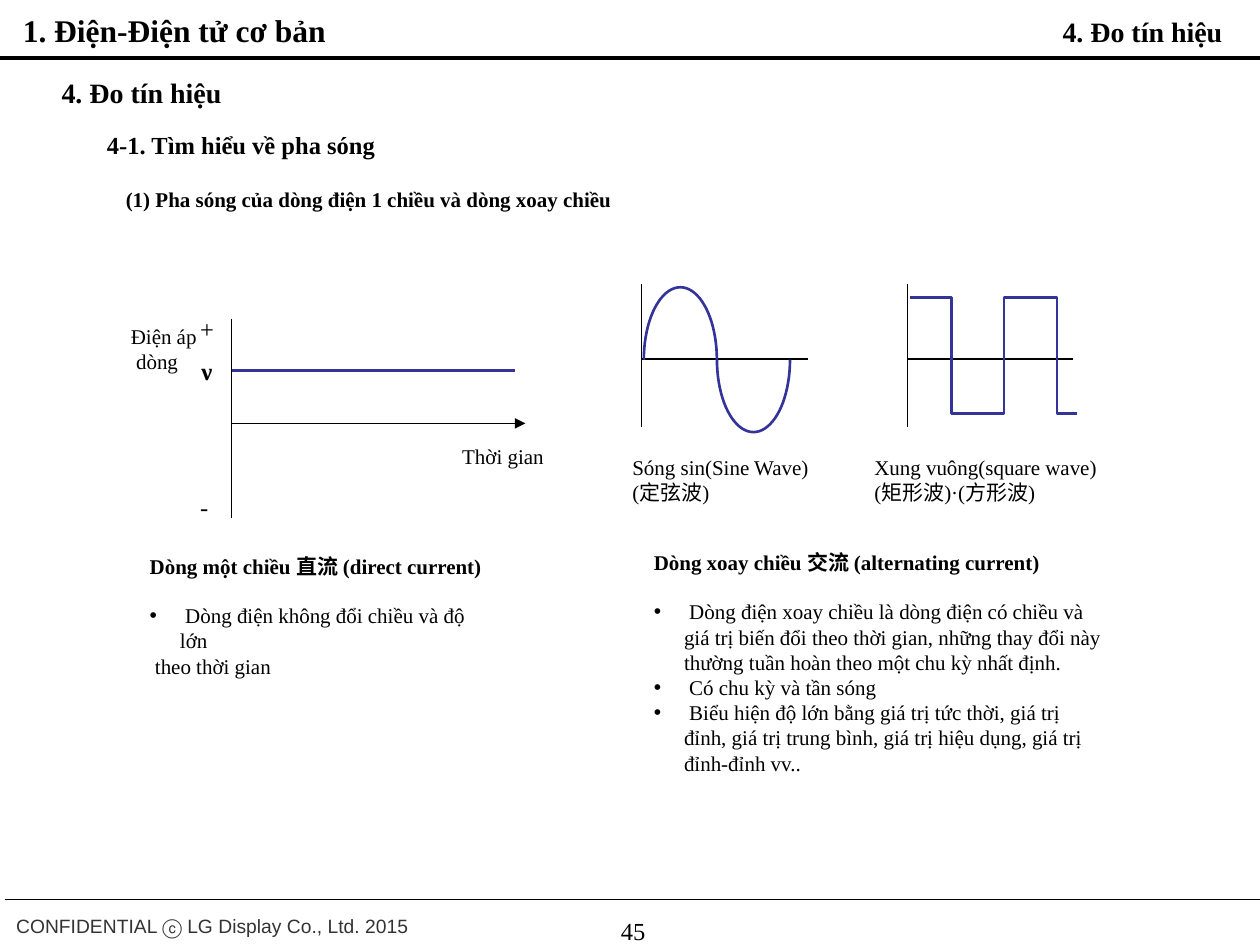
from math import cos, pi, sin

from pptx import Presentation
from pptx.dml.color import RGBColor
from pptx.enum.shapes import MSO_CONNECTOR
from pptx.enum.text import MSO_AUTO_SIZE as AutoSize, PP_ALIGN as Align
from pptx.oxml.ns import qn
from pptx.util import Inches, Pt

BLACK, GRAY, WAVE = "000000", "333333", "333399"
BULLET_INDENT = Inches(0.24)


def rgb(value):
    return RGBColor.from_string(value)


def add_text(slide, box, lines, size=12, bold=False, color=BLACK,
             font="Times New Roman", align=Align.LEFT, wrap=False, spacing=None):
    shape = slide.shapes.add_textbox(*map(Inches, box))
    frame = shape.text_frame
    frame.text = lines
    frame.word_wrap = wrap
    frame.auto_size = AutoSize.NONE if wrap else AutoSize.SHAPE_TO_FIT_TEXT
    for paragraph in frame.paragraphs:
        paragraph.alignment = align
        if spacing:
            paragraph.line_spacing = spacing
        for run in paragraph.runs:
            run.font.size = Pt(size)
            run.font.name = font
            run.font.bold = bold
            run.font.color.rgb = rgb(color)
    return frame


def add_line(slide, x1, y1, x2, y2, width=0.75, color=BLACK, arrow=False):
    line = slide.shapes.add_connector(
        MSO_CONNECTOR.STRAIGHT, *map(Inches, (x1, y1, x2, y2)))
    line.line.width = Pt(width)
    line.line.color.rgb = rgb(color)
    properties = line._element.spPr
    if arrow:
        tail = line.line._get_or_add_ln().makeelement(qn("a:tailEnd"), {"type": "triangle"})
        line.line._get_or_add_ln().append(tail)
    properties.append(properties.makeelement(qn("a:effectLst"), {}))


def add_wave(slide, points):
    points = [(Inches(x), Inches(y)) for x, y in points]
    builder = slide.shapes.build_freeform(*points[0])
    builder.add_line_segments(points[1:], close=False)
    shape = builder.convert_to_shape()
    shape.shadow.inherit = False
    shape.fill.background()
    shape.line.color.rgb = rgb(WAVE)
    shape.line.width = Pt(1.5)


def add_bullet(paragraph):
    properties = paragraph._p.get_or_add_pPr()
    properties.set("marL", str(BULLET_INDENT))
    properties.set("indent", str(-BULLET_INDENT))
    font = properties.makeelement(qn("a:buFont"), {"typeface": "Arial"})
    character = properties.makeelement(qn("a:buChar"), {"char": "•"})
    properties.extend([font, character])


def add_description(slide, box, heading, bullets, closing=()):
    """Bold heading, then bulleted lines, then plain closing lines."""
    frame = add_text(slide, box, "\n".join([heading, *bullets, *closing]), wrap=True)
    first, *rest = frame.paragraphs
    first.runs[0].font.bold = True
    for paragraph in rest[:len(bullets)]:
        add_bullet(paragraph)
    first.space_after = Pt(14)


def add_header(slide, left, top, width):
    add_line(slide, left, top + 0.46, left + width, top + 0.46, 2.25)
    add_text(slide, (left + 0.02, top + 0.04, 2.69, 0.4),
             " 1. Điện-Điện tử cơ bản", 18, True)
    add_text(slide, (left + width - 1.74, top + 0.07, 1.54, 0.37),
             "4. Đo tín hiệu", 16, True, align=Align.RIGHT)


def add_headings(slide, left, top):
    add_text(slide, (left, top, 1.49, 0.37), "4. Đo tín hiệu", 16, True)
    add_text(slide, (left + 0.36, top + 0.43, 2.35, 0.34),
             "4-1. Tìm hiểu về pha sóng", 14, True)
    add_text(slide, (left + 0.51, top + 0.84, 8.19, 5.36),
             "(1) Pha sóng của dòng điện 1 chiều và dòng xoay chiều",
             12, True, wrap=True, spacing=1.2)


def add_direct_current(slide, left, top):
    """Constant voltage over time; (left, top) is the top of the voltage axis."""
    add_line(slide, left, top, left, top + 1.58)
    add_line(slide, left, top + 0.83, left + 2.33, top + 0.83, arrow=True)
    add_line(slide, left, top + 0.41, left + 2.25, top + 0.41, 1.5, WAVE)
    add_text(slide, (left - 0.34, top + 0.25, 0.3, 0.33), "ν", 14, True)
    add_text(slide, (left - 0.9, top - 0.01, 0.73, 0.51), "Điện áp\n dòng")
    add_text(slide, (left + 1.73, top + 0.94, 0.86, 0.3), "Thời gian")
    add_text(slide, (left - 0.35, top - 0.09, 0.32, 0.33), "+", 14)
    add_text(slide, (left - 0.35, top + 1.33, 0.27, 0.34), "-", 14)


def add_wave_axes(slide, left, top):
    add_line(slide, left, top, left, top + 1.14)
    add_line(slide, left, top + 0.6, left + 1.32, top + 0.6)


def add_sine_wave(slide, left, top):
    add_wave_axes(slide, left, top)
    radius_x, radius_y, steps = 0.29, 0.575, 40
    for half, direction in enumerate((-1, 1)):
        center = left + 0.02 + radius_x * (1 + 2 * half)
        angles = [pi * step / steps for step in range(steps + 1)]
        add_wave(slide, [(center - radius_x * cos(angle),
                          top + 0.605 + direction * radius_y * sin(angle))
                         for angle in angles])
    add_text(slide, (left - 0.17, top + 1.31, 1.62, 0.51),
             "Sóng sin(Sine Wave)\n(定弦波)")


def add_square_wave(slide, left, top):
    add_wave_axes(slide, left, top)
    high, low = top + 0.11, top + 1.03
    points = [(left + 0.02, high)]
    for index in range(3):
        x = left + 0.35 + 0.42 * index
        levels = (high, low) if index % 2 == 0 else (low, high)
        points += [(x, level) for level in levels]
    points.append((left + 1.35, low))
    add_wave(slide, points)
    add_text(slide, (left - 0.36, top + 1.31, 1.99, 0.51),
             "Xung vuông(square wave)\n(矩形波)·(方形波)")


def add_footer(slide, left, top):
    add_line(slide, left + 0.04, top, left + 10.04, top)
    add_text(slide, (left + 0.03, top + 0.03, 3.34, 0.3),
             "CONFIDENTIAL ⓒ LG Display Co., Ltd. 2015",
             11, color=GRAY, font="Arial", spacing=1.2)
    number = add_text(slide, (left + 3.86, top + 0.04, 2.33, 0.52), "45", 14,
                      align=Align.CENTER, wrap=True)
    number.margin_top = Inches(0.09)


def main():
    presentation = Presentation()
    presentation.slide_width = Inches(10)
    presentation.slide_height = Inches(7.5)
    slide = presentation.slides.add_slide(presentation.slide_layouts[6])

    add_footer(slide, 0, 7.14)
    add_header(slide, 0, 0, 10)
    add_headings(slide, 0.39, 0.55)

    # Direct current
    add_direct_current(slide, 1.84, 2.53)
    add_description(
        slide, (1.09, 4.34, 2.86, 0.91),
        "Dòng một chiều 直流 (direct current)",
        [" Dòng điện không đổi chiều và độ lớn"],
        [" theo thời gian"])

    # Alternating current
    add_sine_wave(slide, 5.09, 2.25)
    add_square_wave(slide, 7.2, 2.25)
    add_description(
        slide, (5.09, 4.31, 3.75, 1.92),
        "Dòng xoay chiều 交流 (alternating current)",
        [" Dòng điện xoay chiều là dòng điện có chiều và giá trị biến đổi theo thời gian, "
         "những thay đổi này thường tuần hoàn theo một chu kỳ nhất định.",
         " Có chu kỳ và tần sóng",
         " Biểu hiện độ lớn bằng giá trị tức thời, giá trị đỉnh, giá trị trung bình, "
         "giá trị hiệu dụng, giá trị đỉnh-đỉnh vv.."])

    presentation.save("out.pptx")


if __name__ == "__main__":
    main()
